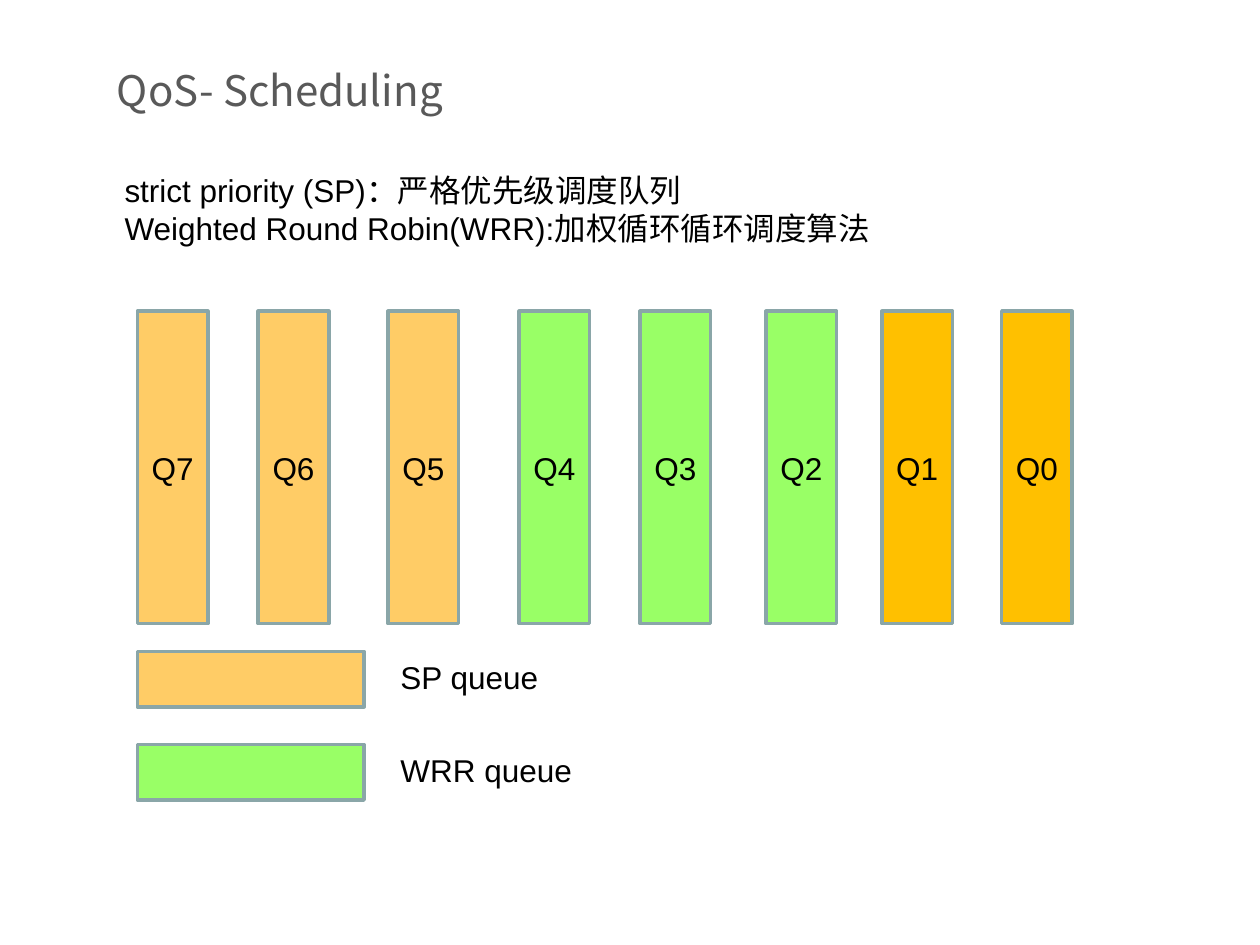
from lxml import etree
from pptx import Presentation, util as u
from pptx.dml.color import RGBColor
from pptx.enum import shapes, text
from pptx.oxml.ns import qn

THEME = {
    "sp": "FFCC66", "wrr": "99FF66", "low": "FFC000",
    "outline": "8AA6A8", "title": "595959", "body": "000000",
    "latin": "Arial", "cjk": "Noto Sans CJK SC",
    "title_size": 24, "body_size": 18,
}

deck = Presentation()
deck.slide_width, deck.slide_height = u.Inches(10), u.Inches(7.5)
slide = deck.slides.add_slide(deck.slide_layouts[6])


def write(holder, lines, role="body", font=THEME["latin"],
          align=text.PP_ALIGN.LEFT, **frame_format):
    """Put one paragraph per line in the holder, in the theme's style for the role."""
    frame = holder.text_frame
    for key, value in {"word_wrap": True, **frame_format}.items():
        setattr(frame, key, value)
    frame.text = "\n".join(lines)
    for paragraph in frame.paragraphs:
        paragraph.alignment = align
        run = paragraph.runs[0]
        style = {"name": font, "size": u.Pt(THEME[role + "_size"])}
        for key, value in style.items():
            setattr(run.font, key, value)
        run.font.color.rgb = RGBColor.from_string(THEME[role])
        east_asian = etree.Element(qn("a:ea"), typeface=THEME["cjk"])
        run.font._element.find(qn("a:latin")).addnext(east_asian)


def add_block(left, top, width, height, kind):
    block = slide.shapes.add_shape(
        shapes.MSO_SHAPE.RECTANGLE, *map(u.Inches, (left, top, width, height)))
    block.shadow.inherit = False
    block.fill.solid()
    block.fill.fore_color.rgb = RGBColor.from_string(THEME[kind])
    block.line.color.rgb = RGBColor.from_string(THEME["outline"])
    block.line.width = u.Pt(2)
    return block


title = slide.shapes.add_textbox(*map(u.Inches, (0.83, 0.42, 8.42, 0.58)))
write(title, ["QoS- Scheduling"], "title", THEME["cjk"],
      vertical_anchor=text.MSO_ANCHOR.MIDDLE)

# Queues run from the highest priority to the lowest, on slightly uneven columns.
columns = [1.09, 2.05, 3.08, 4.12, 5.08, 6.08, 7, 7.95]
kinds = ["sp"] * 3 + ["wrr"] * 3 + ["low"] * 2
for priority, left, kind in zip(reversed(range(8)), columns, kinds):
    queue = add_block(left, 2.47, 0.56, 2.48, kind)
    write(queue, [f"Q{priority}"], align=text.PP_ALIGN.CENTER,
          vertical_anchor=text.MSO_ANCHOR.MIDDLE)

legend_top, legend_pitch = 5.17, 0.74
for row, (kind, name) in enumerate([("sp", "SP queue"), ("wrr", "WRR queue")]):
    top = legend_top + row * legend_pitch
    add_block(columns[0], top, 1.8, 0.44, kind)
    label = slide.shapes.add_textbox(*map(u.Inches, (columns[2], top, 1.6, 0.4)))
    write(label, [name], auto_size=text.MSO_AUTO_SIZE.SHAPE_TO_FIT_TEXT)

definitions = slide.shapes.add_textbox(*map(u.Inches, (0.89, 1.31, 7.07, 0.71)))
write(definitions, ["strict priority (SP)：严格优先级调度队列",
                    "Weighted Round Robin(WRR):加权循环循环调度算法"],
      auto_size=text.MSO_AUTO_SIZE.SHAPE_TO_FIT_TEXT)

deck.save("out.pptx")
